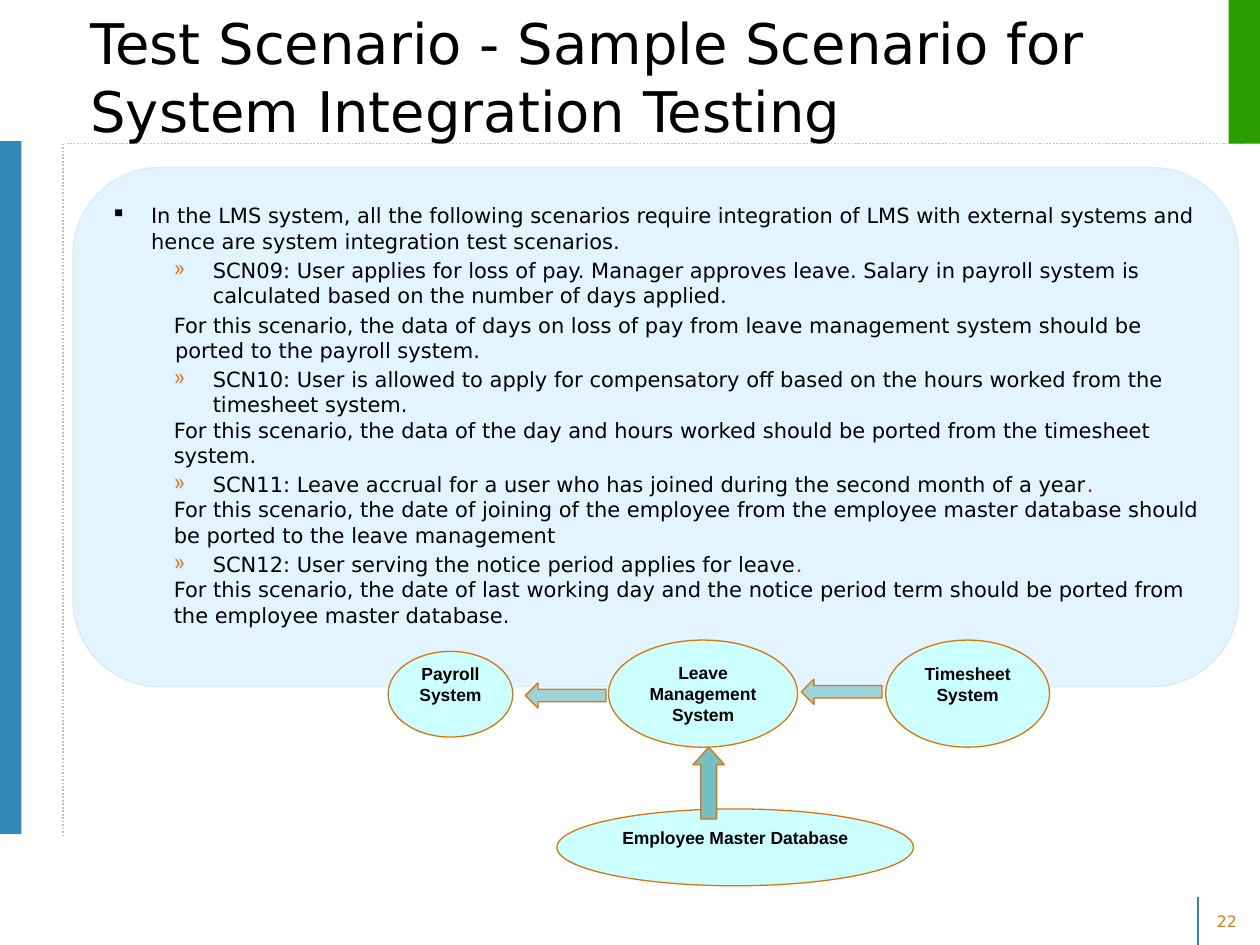
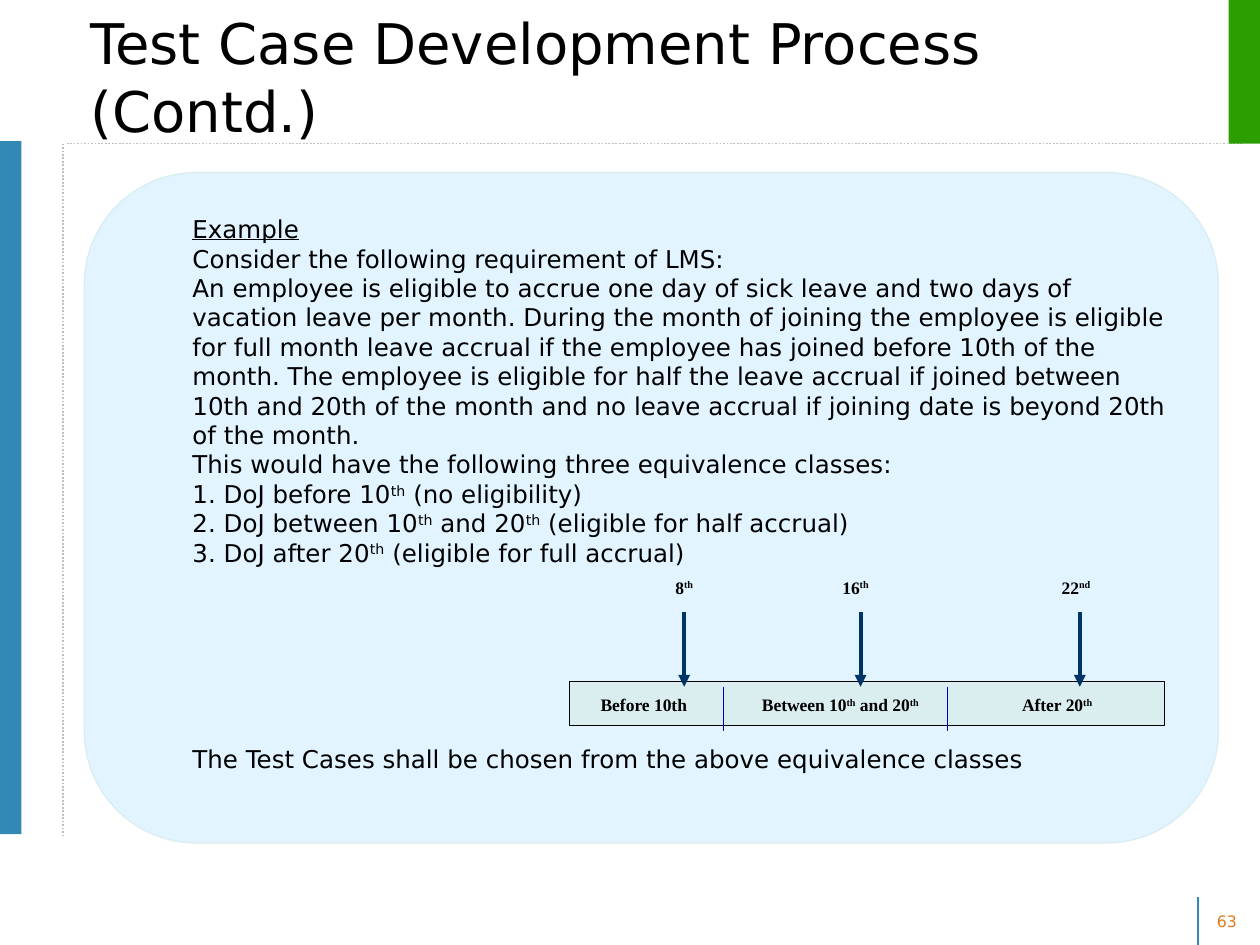
from lxml import etree
from pptx import Presentation
from pptx.dml.color import RGBColor
from pptx.enum.dml import MSO_LINE
from pptx.enum.shapes import MSO_CONNECTOR, MSO_SHAPE
from pptx.enum.text import MSO_ANCHOR, PP_ALIGN
from pptx.oxml.ns import qn
from pptx.util import Inches, Pt

RECTANGLE, ROUNDED, OVAL = MSO_SHAPE.RECTANGLE, MSO_SHAPE.ROUNDED_RECTANGLE, MSO_SHAPE.OVAL
LEFT_ARROW, UP_ARROW = MSO_SHAPE.LEFT_ARROW, MSO_SHAPE.UP_ARROW
STRAIGHT, DOTTED = MSO_CONNECTOR.STRAIGHT, MSO_LINE.ROUND_DOT
TOP, MIDDLE = MSO_ANCHOR.TOP, MSO_ANCHOR.MIDDLE
LEFT, CENTER = PP_ALIGN.LEFT, PP_ALIGN.CENTER

SANS, ARIAL, SERIF = "DejaVu Sans", "Arial", "Times New Roman"
WIDTH, HEIGHT = 10, 7.5
BLACK, RED, BLUE, GREEN, ORANGE = "000000", "FF0000", "3188B4", "2D9E01", "DF7A1C"
GREY, PANEL, PALE, CYAN, RUST = "C0C0C0", "E1F4FF", "DAEDEF", "CCFFFF", "D8750D"
NAVY, DIVIDER = "003366", "0000CC"

# Paragraph kinds: left margin, first-line indent, space before, bullet, bullet colour
KINDS = {
    "point": (0.32, -0.32, 0, "▪", BLACK),
    "scenario": (0.81, -0.31, 2.4, "»", ORANGE),
    "spaced note": (0.51, -0.01, 2.4, None, None),
    "note": (0.5, 0, 0, None, None),
    "closing": (0.5, 0, 101, None, None),
}

# Text between carets is emphasised: red on the first slide, superscript on the second
SCENARIOS = [
    ("point", "In the LMS system, all the following scenarios require integration of LMS with "
              "external systems and hence are system integration test scenarios."),
    ("scenario", "SCN09: User applies for loss of pay. Manager approves leave. Salary in payroll "
                 "system is calculated based on the number of days applied."),
    ("spaced note", "For this scenario, the data of days on loss of pay from leave management "
                    "system should be ported to the payroll system."),
    ("scenario", "SCN10: User is allowed to apply for compensatory off based on the hours worked "
                 "from the timesheet system."),
    ("note", "For this scenario, the data of the day and hours worked should be ported from the "
             "timesheet system."),
    ("scenario", "SCN11: Leave accrual for a user who has joined during the second month of a "
                 "year^.^"),
    ("note", "For this scenario, the date of joining of the employee from the employee master "
             "database should be ported to the leave management"),
    ("scenario", "SCN12: User serving the notice period applies for leave^.^"),
    ("note", "For this scenario, the date of last working day and the notice period term should "
             "be ported from the employee master database."),
]
# Name, box, room kept free below the text
SYSTEMS = [
    ("Employee Master Database", (4.42, 6.42, 2.83, 0.61), 0.16),
    ("Leave Management System", (4.83, 5.08, 1.5, 0.85), 0),
    ("Payroll System", (3.08, 5.17, 0.99, 0.68), 0.16),
    ("Timesheet System", (7.03, 5.08, 1.3, 0.85), 0.16),
]
DATA_FLOWS = [
    (LEFT_ARROW, (4.17, 5.42, 0.64, 0.2), "9ED3D7", 0.5),
    (LEFT_ARROW, (6.36, 5.39, 0.64, 0.2), "9ED3D7", 0.5),
    (UP_ARROW, (5.5, 5.93, 0.25, 0.57), "72BFC5", 0.56),
]

EXAMPLE = [
    ("note", "Example"),
    ("note", "Consider the following requirement of LMS:"),
    ("note", "An employee is eligible to accrue one day of sick leave and two days of vacation "
             "leave per month. During the month of joining the employee is eligible for full "
             "month leave accrual if the employee has joined before 10th of the month. The "
             "employee is eligible for half the leave accrual if joined between 10th and 20th of "
             "the month and no leave accrual if joining date is beyond 20th of the month."),
    ("note", "This would have the following three equivalence classes:"),
    ("note", "1. DoJ before 10^th^ (no eligibility)"),
    ("note", "2. DoJ between 10^th^ and 20^th^ (eligible for half accrual)"),
    ("note", "3. DoJ after 20^th^ (eligible for full accrual)"),
    ("closing", "The Test Cases shall be chosen from the above equivalence classes"),
]
TIMELINE = (4.52, 5.41, 4.72, 0.35)
CLASS_DIVIDERS = [5.74, 7.52]
CLASS_LABELS = [("Before 10th", 5.11), ("Between 10^th^ and 20^th^", 6.67), ("After 20^th^", 8.39)]
# Date, label centre, arrow position
SAMPLE_DATES = [("8^th^", 5.43, 5.43), ("16^th^", 6.79, 6.83), ("22^nd^", 8.54, 8.57)]


def color(hex_text):
    return RGBColor.from_string(hex_text)


def superscript(run):
    run._r.get_or_add_rPr().set("baseline", "30000")


def redden(run):
    run.font.color.rgb = color(RED)


def add_bullet(paragraph, character, hex_text):
    properties = paragraph._p.get_or_add_pPr()
    bullet_color = etree.SubElement(properties, qn("a:buClr"))
    etree.SubElement(bullet_color, qn("a:srgbClr"), val=hex_text)
    etree.SubElement(properties, qn("a:buChar"), char=character)


def write(paragraph, text, size, font=SANS, hex_text=BLACK, bold=False, align=LEFT,
          emphasis=superscript):
    """Fill a paragraph; every second piece between carets is emphasised."""
    paragraph.alignment = align
    paragraph.font.size, paragraph.font.name = Pt(size), font
    paragraph.font.bold = bold
    paragraph.font.color.rgb = color(hex_text)
    for index, piece in enumerate(text.split("^")):
        if piece:
            run = paragraph.add_run()
            run.text = piece
            if index % 2:
                emphasis(run)


def set_frame(shape, anchor, margins=(0.1, 0.05, 0.1, 0.05), wrap=True):
    frame = shape.text_frame
    frame.word_wrap, frame.vertical_anchor = wrap, anchor
    (frame.margin_left, frame.margin_top,
     frame.margin_right, frame.margin_bottom) = map(Inches, margins)
    return frame


def add_text(slide, box, text, size, anchor=MIDDLE, wrap=True, **style):
    shape = slide.shapes.add_textbox(*map(Inches, box))
    frame = set_frame(shape, anchor, wrap=wrap)
    write(frame.paragraphs[0], text, size, **style)


def add_figure(slide, kind, box, fill, line=None):
    shape = slide.shapes.add_shape(kind, *map(Inches, box))
    shape.shadow.inherit = False
    shape.fill.solid()
    shape.fill.fore_color.rgb = color(fill)
    if line:
        shape.line.color.rgb = color(line)
        shape.line.width = Pt(0.75)
    else:
        shape.line.fill.background()
    return shape


def add_line(slide, start, end, hex_text, width, dash=None, arrow=False):
    connector = slide.shapes.add_connector(STRAIGHT, *map(Inches, start + end))
    connector.line.color.rgb = color(hex_text)
    connector.line.width = Pt(width)
    if dash:
        connector.line.dash_style = dash
    if arrow:
        etree.SubElement(connector.line._get_or_add_ln(), qn("a:tailEnd"), type="triangle")
    etree.SubElement(connector._element.spPr, qn("a:effectLst"))


def add_base_slide(presentation, title, number):
    """Add a slide with the shared rules, bands, title and page number."""
    slide = presentation.slides.add_slide(presentation.slide_layouts[6])
    add_line(slide, (9.51, HEIGHT), (9.51, 7.12), BLUE, 1)
    add_line(slide, (0.53, 1.14), (9.86, 1.14), GREY, 1, DOTTED)
    add_line(slide, (0.5, 1.14), (0.5, 6.64), GREY, 1, DOTTED)
    add_figure(slide, RECTANGLE, (0, 1.12, 0.17, 5.5), BLUE)
    add_figure(slide, RECTANGLE, (WIDTH - 0.25, 0, 0.25, 1.14), GREEN)
    add_text(slide, (0.62, 0.27, 8.17, 0.67), title, 32)
    add_text(slide, (9.56, 7.19, 0.4, 0.25), str(number), 9, TOP, hex_text=ORANGE)
    return slide


def add_panel(slide, box, entries, size, top_margin, emphasis):
    panel = add_figure(slide, ROUNDED, box, PANEL, PALE)
    frame = set_frame(panel, TOP, (0.1, top_margin, 0.1, 0))
    for index, (kind, text) in enumerate(entries):
        paragraph = frame.add_paragraph() if index else frame.paragraphs[0]
        margin, indent, space, bullet, bullet_color = KINDS[kind]
        properties = paragraph._p.get_or_add_pPr()
        properties.set("marL", str(Inches(margin)))
        properties.set("indent", str(Inches(indent)))
        if space:
            paragraph.space_before = Pt(space)
        if bullet:
            add_bullet(paragraph, bullet, bullet_color)
        write(paragraph, text, size, emphasis=emphasis)
    return frame


def build_scenario_slide(presentation):
    slide = add_base_slide(
        presentation, "Test Scenario - Sample Scenario for System Integration Testing", 22)
    add_panel(slide, (0.58, 1.33, 9.25, 4.12), SCENARIOS, 12, 0.08, redden)
    for name, box, room_below in SYSTEMS:
        system = add_figure(slide, OVAL, box, CYAN, RUST)
        frame = set_frame(system, MIDDLE, (0.05, 0, 0.05, room_below))
        write(frame.paragraphs[0], name, 10, ARIAL, bold=True, align=CENTER)
    for kind, box, fill, head in DATA_FLOWS:
        arrow = add_figure(slide, kind, box, fill, RUST)
        arrow.adjustments[1] = head


def build_example_slide(presentation):
    slide = add_base_slide(presentation, "Test Case Development Process (Contd.)", 63)
    frame = add_panel(slide, (0.67, 1.37, 9, 5.32), EXAMPLE, 14, 0.07, superscript)
    frame.paragraphs[0].font.underline = True
    add_figure(slide, RECTANGLE, TIMELINE, PALE, BLACK)
    for x in CLASS_DIVIDERS:
        add_line(slide, (x, 5.45), (x, 5.8), DIVIDER, 0.75)

    def add_label(text, center, middle, width):
        add_text(slide, (center - width / 2, middle - 0.15, width, 0.3), text, 10,
                 wrap=False, font=SERIF, bold=True, align=CENTER)

    for text, center in CLASS_LABELS:
        add_label(text, center, 5.59, 1.5)
    for text, center, x in SAMPLE_DATES:
        add_label(text, center, 4.66, 0.5)
        add_line(slide, (x, 4.86), (x, 5.45), NAVY, 2.25, arrow=True)


def main():
    presentation = Presentation()
    presentation.slide_width, presentation.slide_height = Inches(WIDTH), Inches(HEIGHT)
    build_scenario_slide(presentation)
    build_example_slide(presentation)
    presentation.save("out.pptx")


if __name__ == "__main__":
    main()
